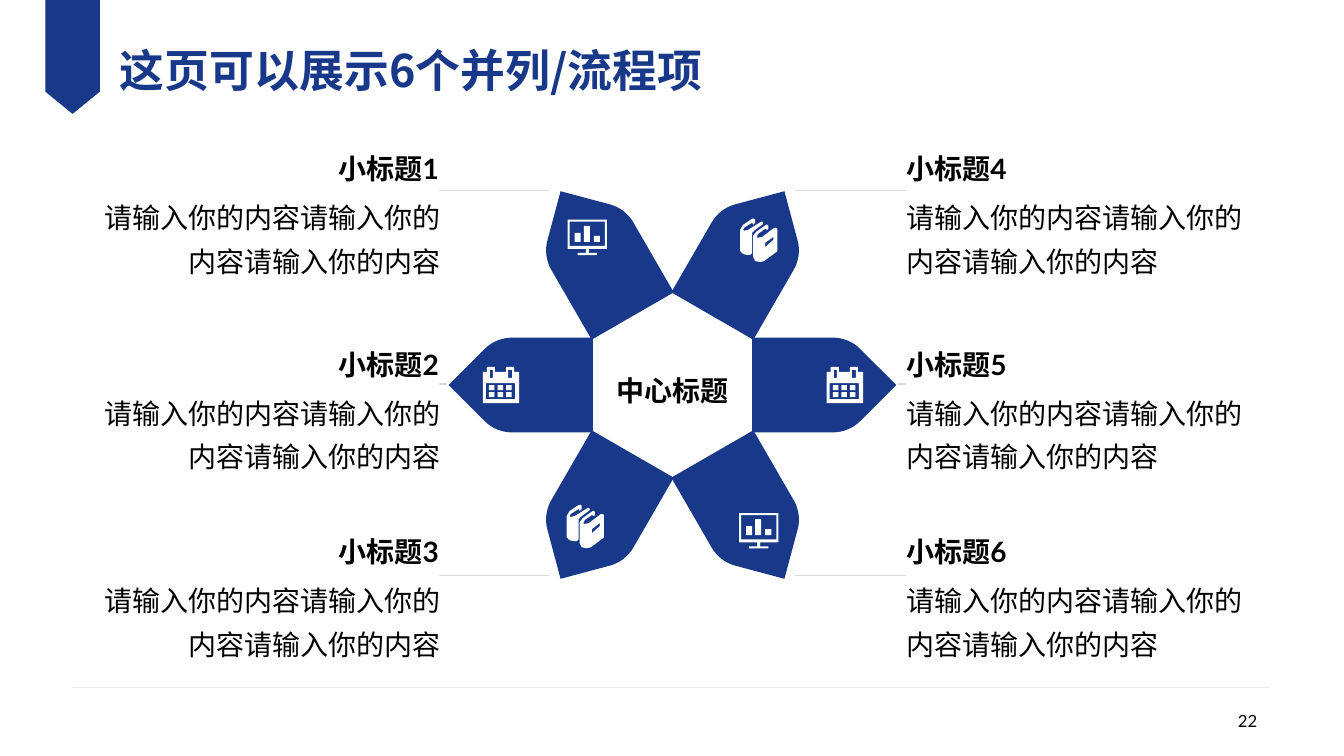
from math import cos, sin, radians
from lxml.etree import SubElement
from pptx import Presentation
from pptx.dml.color import RGBColor
from pptx.enum.shapes import MSO_CONNECTOR
from pptx.enum.text import MSO_ANCHOR, PP_ALIGN
from pptx.oxml.ns import qn
from pptx.util import Inches, Pt

COLORS = {"navy": "18388A", "white": "FFFFFF", "black": "000000",
          "rule": "BFBFBF", "leader": "D9D9D9"}
LATIN, CHINESE = "Lato", "Noto Sans CJK SC"
CENTER_X, CENTER_Y, HUB_RADIUS = 6.67, 3.82, 0.79
BODY = "请输入你的内容请输入你的内容请输入你的内容"


def rectangle(left, top, right, bottom):
    return [(left, top), (right, top), (right, bottom), (left, bottom)]


def bezier(start, first, second, end, steps=8):
    points = []
    for step in range(steps + 1):
        t = step / steps
        weights = ((1 - t) ** 3, 3 * t * (1 - t) ** 2, 3 * t * t * (1 - t), t ** 3)
        points.append(tuple(
            sum(weight * point[axis] for weight, point in zip(weights, (start, first, second, end)))
            for axis in (0, 1)))
    return points


def petal_outline(angle):
    shoulder = bezier((0.8, 0.47), (0.9, 0.47), (1, 0.43), (1.07, 0.36))
    upper = [(0, 0.47)] + shoulder
    outline = upper + [(1.43, 0)] + [(x, -y) for x, y in reversed(upper)]
    cosine, sine = cos(radians(angle)), sin(radians(angle))
    return [(CENTER_X + (HUB_RADIUS + x) * cosine - y * sine,
             CENTER_Y + (HUB_RADIUS + x) * sine + y * cosine) for x, y in outline]


CHART_ICON = [
    [(0, 0), (39, 0), (39, 29), (21, 29), (21, 33), (29, 33), (29, 35),
     (10, 35), (10, 33), (18, 33), (18, 29), (0, 29)],
    rectangle(2, 2, 37, 26),
    rectangle(7, 13, 13, 22),
    rectangle(16, 6, 22, 22),
    rectangle(26, 16, 32, 22),
]
CALENDAR_ICON = [
    [(0, 5), (4, 5), (4, 0), (12, 0), (12, 5), (23, 5), (23, 0),
     (31, 0), (31, 5), (36, 5), (36, 36), (0, 36)],
    rectangle(7, 3, 10, 11),
    rectangle(25, 3, 29, 11),
    rectangle(3, 16, 32, 32),
] + [rectangle(x, y, x + 5.5, y + 5) for y in (18, 25) for x in (6, 14.5, 23)]
BOOKS_ICON = [
    [(12, 18), (12, 34), (10, 36), (7, 36), (3, 35), (0, 32), (0, 11), (3, 6),
     (12, 0), (14, 0), (15, 1), (15, 4), (13, 6), (12, 4), (4, 9), (3, 11),
     (4, 12), (8, 11), (21, 3), (22, 3), (23, 4), (23, 5), (22, 6), (15, 11), (12, 14)],
    [(37, 10), (37, 32), (36, 33), (24, 42), (20, 43), (15, 42), (13, 38),
     (13, 17), (16, 13), (26, 6), (27, 6), (28, 7), (28, 10), (27, 11), (25, 10),
     (18, 15), (17, 17), (17, 19), (22, 18), (34, 9), (36, 9)],
    [(33, 18), (25, 24), (25, 28), (33, 21)],
]


class SlideBuilder:
    def __init__(self, slide):
        self.slide = slide

    def outline(self, contours, color):
        start, *rest = contours[0]
        builder = self.slide.shapes.build_freeform(
            Inches(start[0]), Inches(start[1]))
        for index, contour in enumerate(contours):
            if index:
                builder.move_to(Inches(contour[0][0]), Inches(contour[0][1]))
            builder.add_line_segments(
                [(Inches(x), Inches(y)) for x, y in contour[1:]], close=True)
        shape = builder.convert_to_shape()
        shape.shadow.inherit = False
        shape.fill.solid()
        shape.fill.fore_color.rgb = RGBColor.from_string(COLORS[color])
        shape.line.fill.background()

    def icon(self, contours, left, top):
        self.outline([[(left + x / 100, top + y / 100) for x, y in contour]
                      for contour in contours], "white")

    def line(self, start_x, end_x, y, color, width, opacity=100):
        connector = self.slide.shapes.add_connector(
            MSO_CONNECTOR.STRAIGHT, Inches(start_x), Inches(y), Inches(end_x), Inches(y))
        connector.line.color.rgb = RGBColor.from_string(COLORS[color])
        connector.line.width = Pt(width)
        properties = connector._element.spPr
        if opacity < 100:
            alpha = SubElement(properties.find(".//" + qn("a:srgbClr")), qn("a:alpha"))
            alpha.set("val", str(opacity * 1000))
        SubElement(properties, qn("a:effectLst"))

    def text(self, content, left, top, width, height, size=20, bold=False,
             color="black", font=LATIN, align=PP_ALIGN.LEFT,
             anchor=MSO_ANCHOR.MIDDLE, spacing=1.0, inset=True):
        shape = self.slide.shapes.add_textbox(
            Inches(left), Inches(top), Inches(width), Inches(height))
        frame = shape.text_frame
        frame.word_wrap = True
        frame.vertical_anchor = anchor
        if not inset:
            frame.margin_left = frame.margin_right = 0
            frame.margin_top = frame.margin_bottom = 0
        paragraph = frame.paragraphs[0]
        paragraph.text = content
        paragraph.alignment = align
        paragraph.line_spacing = spacing
        paragraph.font.size = Pt(size)
        paragraph.font.bold = bold
        paragraph.font.color.rgb = RGBColor.from_string(COLORS[color])
        paragraph.font.name = font
        defaults = paragraph._p.pPr.find(qn("a:defRPr"))
        SubElement(defaults, qn("a:ea")).set("typeface", CHINESE)

    def item(self, number, left, top, align):
        self.text(f"小标题{number}", left, top, 3.72, 0.48, bold=True,
                  align=align, anchor=MSO_ANCHOR.BOTTOM, spacing=1.5)
        self.text(BODY, left, top + 0.43, 3.74, 0.91, align=align,
                  anchor=MSO_ANCHOR.TOP, spacing=1.3)


def main():
    presentation = Presentation()
    presentation.slide_width = Inches(13.33)
    presentation.slide_height = Inches(7.5)
    slide = presentation.slides.add_slide(presentation.slide_layouts[6])
    builder = SlideBuilder(slide)

    builder.line(0.72, 12.6, 6.82, "rule", 0.25, opacity=47)
    builder.outline([[(0.45, 0), (0.99, 0), (0.99, 0.91), (0.72, 1.13), (0.45, 0.91)]], "navy")
    builder.text("这页可以展示6个并列/流程项", 1.19, 0.26, 8.93, 0.86, size=32,
                 bold=True, color="navy", font=CHINESE, inset=False)
    builder.text("22", 9.57, 6.95, 3, 0.4, size=12, align=PP_ALIGN.RIGHT)

    for angle in range(0, 360, 60):
        builder.outline([petal_outline(angle)], "navy")
    for contours, left, top in (
            (CHART_ICON, 5.63, 2.18), (CALENDAR_ICON, 4.79, 3.64), (BOOKS_ICON, 5.62, 5.01),
            (BOOKS_ICON, 7.34, 2.17), (CALENDAR_ICON, 8.2, 3.64), (CHART_ICON, 7.33, 5.09)):
        builder.icon(contours, left, top)
    builder.text("中心标题", 5.96, 3.37, 1.43, 0.91, bold=True,
                 align=PP_ALIGN.CENTER, spacing=1.3)

    rows = ((1.41, 1.89, 1.1), (3.35, 3.81, 0.08), (5.21, 5.71, 1.1))
    for number, (top, leader_y, leader_length) in enumerate(rows, start=1):
        builder.line(4.35, 4.35 + leader_length, leader_y, "leader", 1)
        builder.line(8.99 - leader_length, 8.99, leader_y, "leader", 1)
        builder.item(number, 0.73, top, PP_ALIGN.RIGHT)
        builder.item(number + 3, 8.89, top, PP_ALIGN.LEFT)

    presentation.save("out.pptx")


if __name__ == "__main__":
    main()
